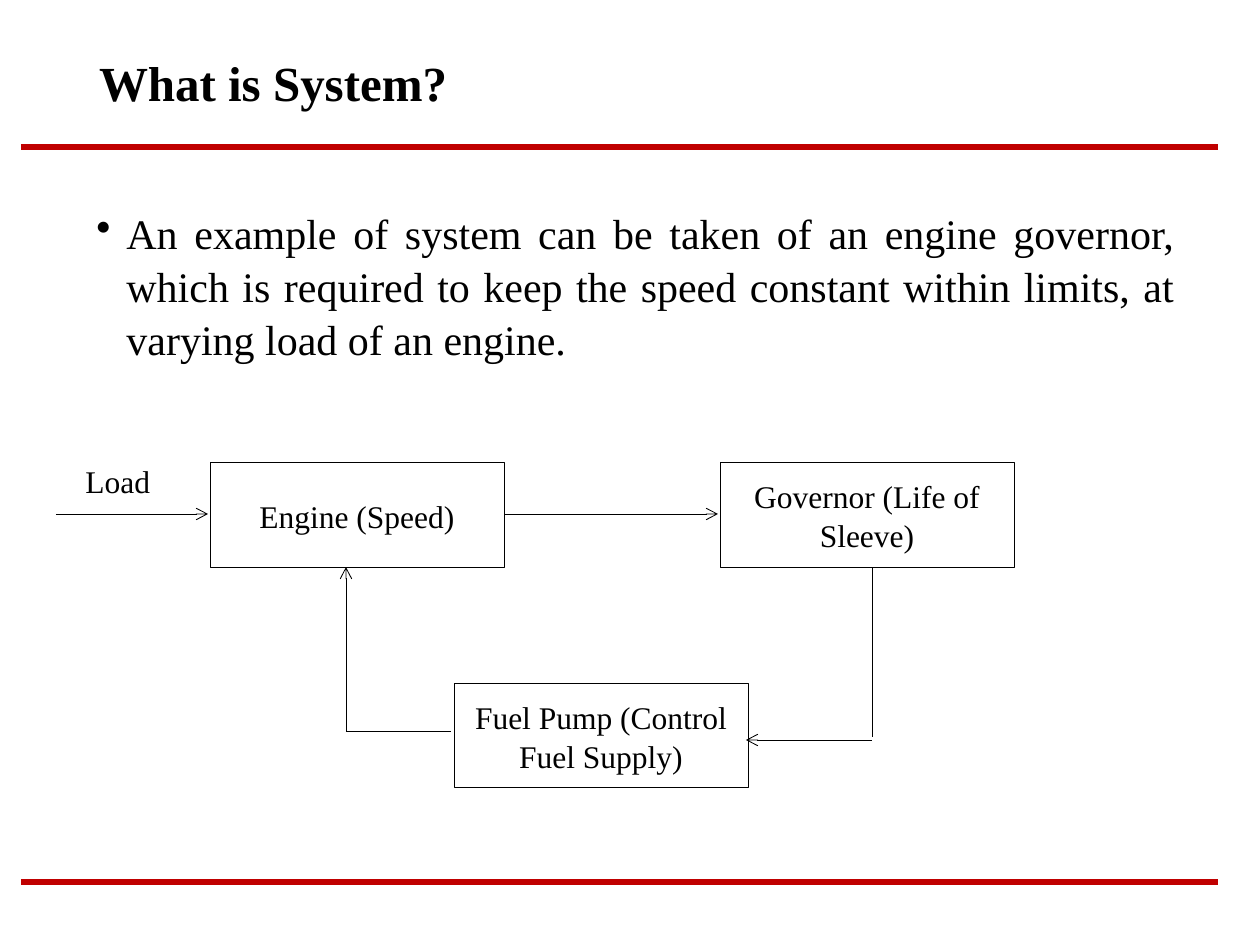
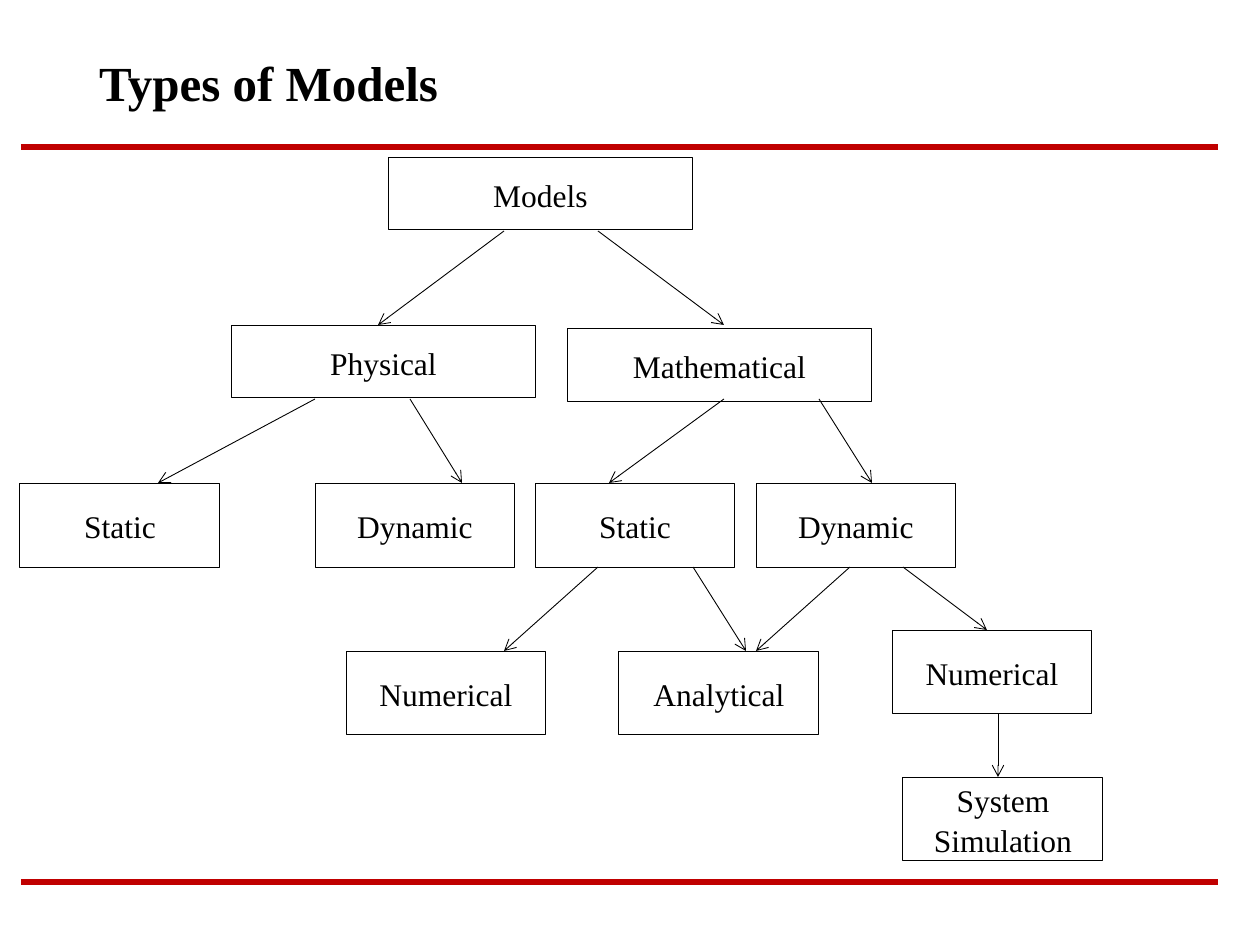
from lxml import etree
from pptx import Presentation
from pptx.dml.color import RGBColor
from pptx.enum.shapes import MSO_CONNECTOR as Connector, MSO_SHAPE as Shape
from pptx.enum.text import MSO_ANCHOR as Anchor, MSO_AUTO_SIZE as AutoSize, PP_ALIGN as Align
from pptx.oxml.ns import qn
from pptx.util import Inches, Pt

PX = Inches(1) / 126
FONT = "Times New Roman"
COLOURS = {"text": "000000", "outline": "000000", "rule": "C00000"}
TITLE_ONLY = 5


def emu(*lengths):
    return [round(length * PX) for length in lengths]


def colour(name):
    return RGBColor.from_string(COLOURS[name])


class Deck:
    """Holds the shared style and the slide being filled."""

    def __init__(self):
        self.presentation = Presentation()
        self.presentation.slide_width, self.presentation.slide_height = emu(1260, 945)
        self.slide = None

    def new_slide(self, title):
        layout = self.presentation.slide_layouts[TITLE_ONLY]
        self.slide = self.presentation.slides.add_slide(layout)
        for y in (147, 882):
            self.line((21, y), (1218, y), "rule", 3)
        shape = self.slide.shapes.title
        shape.left, shape.top, shape.width, shape.height = emu(63, 43, 798, 72)
        self.set_text(shape, title, 28, bold=True)
        shape.text_frame.margin_left = emu(36)[0]

    def set_text(self, shape, text, size, align=Align.LEFT, anchor=Anchor.TOP, bold=False):
        frame = shape.text_frame
        frame.text = text
        frame.word_wrap = True
        frame.auto_size = AutoSize.NONE
        frame.vertical_anchor = anchor
        paragraph = frame.paragraphs[0]
        paragraph.alignment = align
        paragraph.line_spacing = 1.05
        font = paragraph.font
        font.name, font.size, font.bold = FONT, Pt(size), bold
        font.color.rgb = colour("text")
        return paragraph

    def label(self, text, left, top, width, height, size=18, align=Align.LEFT):
        shape = self.slide.shapes.add_textbox(*emu(left, top, width, height))
        return self.set_text(shape, text, size, align)

    def bullet(self, text, left, top, width, height):
        paragraph = self.label(text, left, top, width, height, 24, Align.JUSTIFY)
        properties = paragraph._p.get_or_add_pPr()
        indent = emu(30)[0]
        properties.set("marL", str(indent))
        properties.set("indent", str(-indent))
        mark = etree.Element(qn("a:buChar"), char="•")
        properties.find(qn("a:defRPr")).addprevious(mark)

    def box(self, text, left, top, width, height):
        shape = self.slide.shapes.add_shape(Shape.RECTANGLE, *emu(left, top, width, height))
        shape.shadow.inherit = False
        shape.fill.background()
        shape.line.color.rgb = colour("outline")
        shape.line.width = Pt(0.5)
        self.set_text(shape, text, 18, Align.CENTER, Anchor.MIDDLE)

    def line(self, start, end, shade="outline", width=0.5):
        connector = self.slide.shapes.add_connector(Connector.STRAIGHT, *emu(*start, *end))
        connector.line.color.rgb = colour(shade)
        connector.line.width = Pt(width)
        etree.SubElement(connector._element.spPr, qn("a:effectLst"))
        return connector

    def arrow(self, start, end):
        outline = self.line(start, end).line._get_or_add_ln()
        etree.SubElement(outline, qn("a:tailEnd"), type="arrow")


def build_governor_slide(deck):
    deck.new_slide("What is System?")
    deck.bullet(
        "An example of system can be taken of an engine governor, which is required "
        "to keep the speed constant within limits, at varying load of an engine.",
        84, 199, 1103, 662)
    deck.label("Load", 73, 454, 116, 50)
    for text, left, top in (
        ("Engine (Speed)", 210, 462),
        ("Governor (Life of Sleeve)", 720, 462),
        ("Fuel Pump (Control Fuel Supply)", 454, 683),
    ):
        deck.box(text, left, top, 294, 105)
    deck.arrow((56, 514), (208, 514))
    deck.arrow((504, 514), (718, 514))
    deck.line((872, 567), (872, 737))
    deck.arrow((872, 740), (746, 740))
    deck.line((346, 731), (451, 731))
    deck.arrow((346, 731), (346, 567))


def build_models_slide(deck):
    deck.new_slide("Types of Models")
    for text, left, top in (
        ("Models", 388, 157), ("Physical", 231, 325), ("Mathematical", 567, 329),
    ):
        deck.box(text, left, top, 305, 73)
    for text, left, top in (
        ("Static", 20, 483), ("Dynamic", 315, 483),
        ("Static", 535, 483), ("Dynamic", 756, 483),
        ("Numerical", 346, 651), ("Analytical", 619, 651),
        ("Numerical", 892, 630), ("System Simulation", 903, 777),
    ):
        deck.box(text, left, top, 200, 84)
    # Each level: top and bottom of its arrows, then their start and end x.
    for top, bottom, spans in (
        (231, 325, ((504, 378), (598, 724))),
        (399, 483, ((315, 158), (410, 462), (724, 609), (819, 872))),
        (567, 651, ((598, 504), (693, 746), (850, 756))),
        (567, 630, ((903, 987),)),
        (714, 777, ((998, 998),)),
    ):
        for start, end in spans:
            deck.arrow((start, top), (end, bottom))


def main():
    deck = Deck()
    build_governor_slide(deck)
    build_models_slide(deck)
    deck.presentation.save("out.pptx")


if __name__ == "__main__":
    main()
